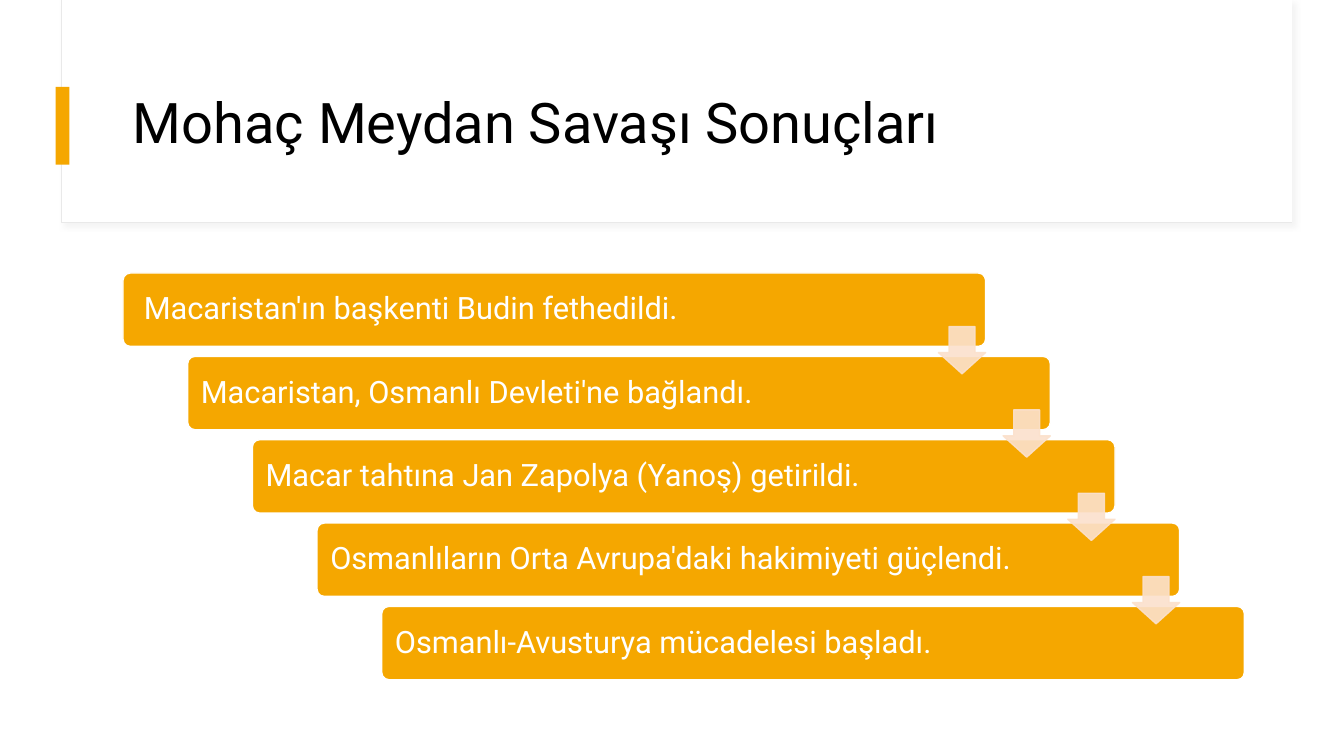
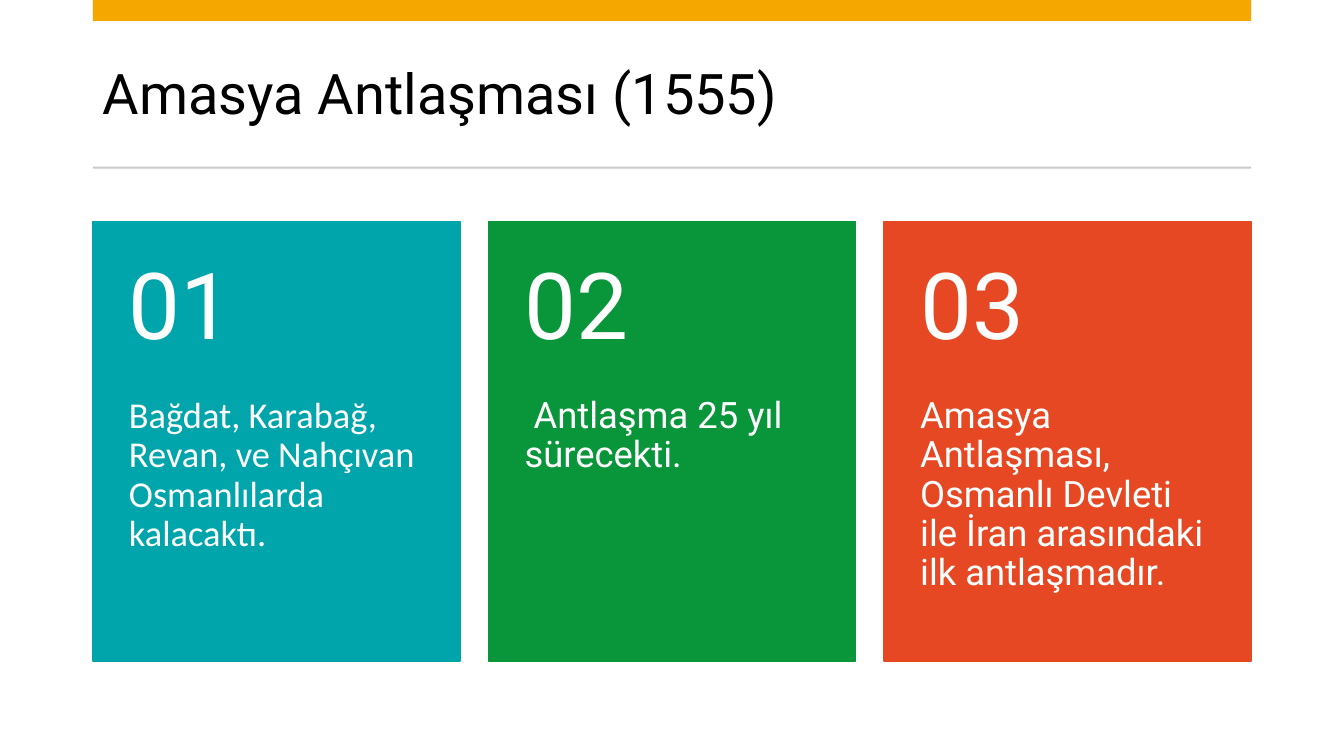
from dataclasses import dataclass
from typing import Optional

from lxml.etree import SubElement
from pptx import Presentation
from pptx.dml.color import RGBColor
from pptx.enum.shapes import MSO_SHAPE
from pptx.enum.text import MSO_ANCHOR, MSO_AUTO_SIZE, PP_ALIGN
from pptx.oxml.ns import qn
from pptx.presentation import Presentation as Deck
from pptx.shapes.autoshape import Shape
from pptx.slide import Slide
from pptx.util import Cm, Pt

# Shared colours and fonts
WHITE = RGBColor(0xFF, 0xFF, 0xFF)
BLACK = RGBColor(0x00, 0x00, 0x00)
AMBER = RGBColor(0xF5, 0xA7, 0x00)
PEACH = RGBColor(0xFB, 0xE1, 0xCC)
TEAL = RGBColor(0x00, 0xA5, 0xAB)
GREEN = RGBColor(0x09, 0x96, 0x3B)
RED = RGBColor(0xE6, 0x48, 0x23)
FRAME_GREY = RGBColor(0xE9, 0xE9, 0xE9)
RULE_GREY = RGBColor(0xC9, 0xC9, 0xC9)
MAIN_FONT = "Roboto"
CARD_FONT = "Calibri"
TITLE_ONLY = 5


@dataclass(frozen=True)
class Area:
    """A rectangle on the page, in centimetres."""
    left: float
    top: float
    width: float
    height: float

    def lengths(self) -> tuple[Cm, Cm, Cm, Cm]:
        return Cm(self.left), Cm(self.top), Cm(self.width), Cm(self.height)


@dataclass(frozen=True)
class TextStyle:
    size: int
    color: RGBColor = WHITE
    font: str = MAIN_FONT
    anchor: MSO_ANCHOR = MSO_ANCHOR.MIDDLE
    insets: tuple[float, float, float, float] = (0.25, 0.13, 0.25, 0.13)


@dataclass(frozen=True)
class Card:
    color: RGBColor
    text: str
    font: str = MAIN_FONT


TITLE_STYLE = TextStyle(40, BLACK)
STEP_STYLE = TextStyle(22, insets=(0.28, 0.23, 0.28, 0.23))
NUMBER_STYLE = TextStyle(66, insets=(0.91, 0.46, 0.91, 0.46))

STEPS = (
    " Macaristan'ın başkenti Budin fethedildi.",
    "Macaristan, Osmanlı Devleti'ne bağlandı.",
    "Macar tahtına Jan Zapolya (Yanoş) getirildi.",
    "Osmanlıların Orta Avrupa'daki hakimiyeti güçlendi.",
    "Osmanlı-Avusturya mücadelesi başladı.",
)
CARDS = (
    Card(TEAL, "Bağdat, Karabağ, Revan, ve Nahçıvan Osmanlılarda kalacaktı.", CARD_FONT),
    Card(GREEN, " Antlaşma 25 yıl sürecekti."),
    Card(RED, "Amasya Antlaşması, Osmanlı Devleti ile İran arasındaki ilk antlaşmadır."),
)


def write_text(box: Shape, text: str, style: TextStyle) -> None:
    """Fill a shape with one formatted paragraph."""
    frame = box.text_frame
    left, top, right, bottom = style.insets
    frame_format = {
        "word_wrap": True,
        "auto_size": MSO_AUTO_SIZE.NONE,
        "vertical_anchor": style.anchor,
        "margin_left": Cm(left),
        "margin_top": Cm(top),
        "margin_right": Cm(right),
        "margin_bottom": Cm(bottom),
    }
    for name, value in frame_format.items():
        setattr(frame, name, value)
    para = frame.paragraphs[0]
    para.alignment = PP_ALIGN.LEFT
    para.line_spacing = 0.9
    span = para.add_run()
    span.text = text
    for name, value in {"name": style.font, "size": Pt(style.size)}.items():
        setattr(span.font, name, value)
    span.font.color.rgb = style.color


def add_block(page: Slide, area: Area, fill: RGBColor,
              line: Optional[RGBColor] = None, line_width: float = 1,
              kind: MSO_SHAPE = MSO_SHAPE.RECTANGLE,
              adjustments: tuple[float, ...] = ()) -> Shape:
    """Draw a flat filled shape, outlined only when a line colour is given."""
    block = page.shapes.add_shape(kind, *area.lengths())
    block.shadow.inherit = False
    block.fill.solid()
    block.fill.fore_color.rgb = fill
    if line is None:
        block.line.fill.background()
    else:
        block.line.color.rgb = line
        block.line.width = Pt(line_width)
    for index, value in enumerate(adjustments):
        block.adjustments[index] = value
    return block


def add_label(page: Slide, area: Area, text: str, style: TextStyle) -> None:
    write_text(page.shapes.add_textbox(*area.lengths()), text, style)


def set_opacity(block: Shape, percent: int) -> None:
    """Make the fill and the outline partly transparent."""
    for color in block.element.iter(qn("a:srgbClr")):
        SubElement(color, qn("a:alpha"), val=str(percent * 1000))


def add_soft_shadow(block: Shape) -> None:
    effects = block.element.spPr.find(qn("a:effectLst"))
    shadow = SubElement(effects, qn("a:outerShdw"), blurRad=str(Pt(4)),
                        dist=str(Pt(3)), dir=str(45 * 60000), rotWithShape="0")
    color = SubElement(shadow, qn("a:srgbClr"), val="D9D9D9")
    SubElement(color, qn("a:alpha"), val="30000")


def add_title(page: Slide, area: Area, text: str) -> None:
    """Place the title placeholder above everything drawn so far."""
    title = page.shapes.title
    title.left, title.top, title.width, title.height = area.lengths()
    write_text(title, text, TITLE_STYLE)
    title.element.getparent().append(title.element)


def add_page(deck: Deck) -> Slide:
    return deck.slides.add_slide(deck.slide_layouts[TITLE_ONLY])


def build_results_page(deck: Deck) -> None:
    page = add_page(deck)

    # Title panel with its accent
    add_soft_shadow(add_block(page, Area(1.55, 0, 31.01, 5.61), WHITE, FRAME_GREY, 0.75))
    add_block(page, Area(1.57, 0, 30.99, 5.59), WHITE)
    add_block(page, Area(1.4, 2.19, 0.35, 1.96), AMBER)
    add_title(page, Area(3.1, 1.52, 28.24, 3.28), "Mohaç Meydan Savaşı Sonuçları")

    # Staircase of results
    bars = [Area(3.1 + 1.63 * index, 6.88 + 2.1 * index, 21.74, 1.85)
            for index in range(len(STEPS))]
    for area, text in zip(bars, STEPS):
        bar = add_block(page, area, AMBER, WHITE,
                        kind=MSO_SHAPE.ROUNDED_RECTANGLE, adjustments=(0.1,))
        write_text(bar, text, STEP_STYLE)

    # Arrows from each result to the next
    arrow_size = 1.19
    for area in bars[:-1]:
        place = Area(area.left + area.width - arrow_size, area.top + 1.35,
                     arrow_size, arrow_size)
        arrow = add_block(page, place, PEACH, PEACH,
                          kind=MSO_SHAPE.DOWN_ARROW, adjustments=(0.55, 0.45))
        set_opacity(arrow, 90)


def build_treaty_page(deck: Deck) -> None:
    page = add_page(deck)
    left, width = 2.34, 29.19

    # Title between the top band and the rule
    add_title(page, Area(left, 0.94, width, 3), "Amasya Antlaşması (1555)")
    add_block(page, Area(left, 0, width, 0.53), AMBER)
    add_block(page, Area(left, 4.2, width, 0.05), RULE_GREY)

    # Numbered cards
    top, card_width, card_height, number_height = 5.58, 9.25, 11.08, 4.43
    step = (width - card_width) / (len(CARDS) - 1)
    for index, card in enumerate(CARDS):
        x = left + step * index
        add_block(page, Area(x, top, card_width, card_height), card.color, card.color)
        add_label(page, Area(x, top, card_width, number_height),
                  f"{index + 1:02}", NUMBER_STYLE)
        add_label(page, Area(x, top + number_height, card_width, card_height - number_height),
                  card.text, TextStyle(26, font=card.font, anchor=MSO_ANCHOR.TOP,
                                       insets=(0.91, 0, 0.91, 0.91)))


def main() -> None:
    deck = Presentation()
    deck.slide_width, deck.slide_height = Cm(33.87), Cm(19.05)
    build_results_page(deck)
    build_treaty_page(deck)
    deck.save("out.pptx")


if __name__ == "__main__":
    main()
